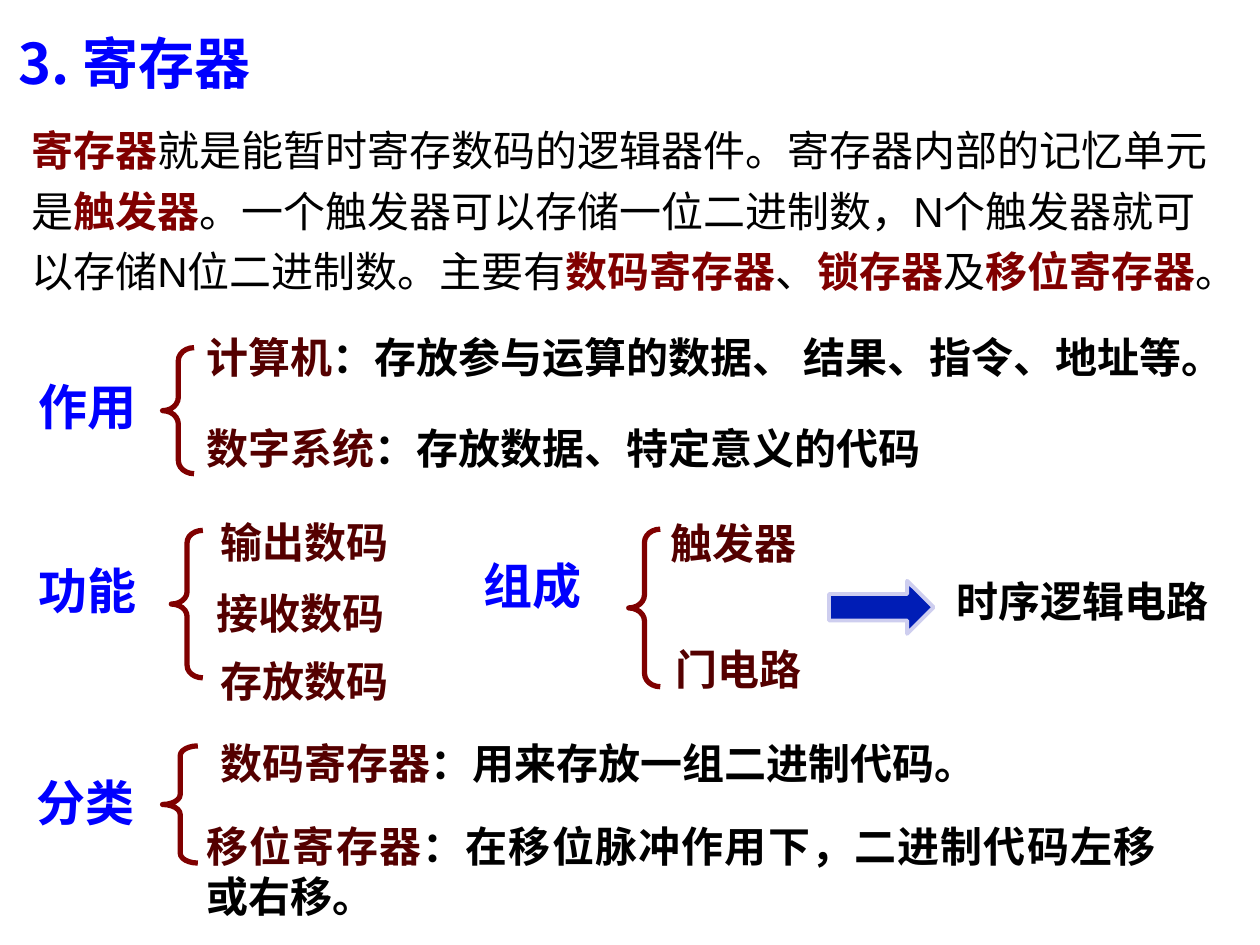
from typing import NamedTuple

from lxml import etree
from pptx import Presentation
from pptx.dml.color import RGBColor
from pptx.enum.shapes import MSO_SHAPE
from pptx.enum.text import PP_ALIGN
from pptx.oxml.ns import qn
from pptx.util import Inches, Pt

BRACE = MSO_SHAPE.LEFT_BRACE
ARROW = MSO_SHAPE.RIGHT_ARROW
LEFT = PP_ALIGN.LEFT
JUSTIFY = PP_ALIGN.JUSTIFY

SANS = "Noto Sans CJK SC"
COLORS = {
    "heading": "0000FF",
    "key": "800000",
    "term": "540000",
    "body": "000000",
    "arrow": "001DB6",
    "arrow_edge": "CECEEF",
}


class Span(NamedTuple):
    text: str
    color: str
    bold: bool = True


class Label(NamedTuple):
    x: float
    y: float
    w: float
    h: float
    spans: list[Span]
    size: int = 24
    align: PP_ALIGN = LEFT
    font: str = SANS
    spacing: float = 1.0


class Brace(NamedTuple):
    x: float
    y: float
    w: float
    h: float
    curve: float


def rgb(name: str) -> RGBColor:
    return RGBColor.from_string(COLORS[name])


def heading(x: float, y: float, w: float, h: float, text: str) -> Label:
    return Label(x, y, w, h, [Span(text, "heading")], size=28)


def item(x: float, y: float, w: float, h: float, term: str,
         detail: str = "", align: PP_ALIGN = LEFT) -> Label:
    spans = [Span(term, "term")]
    if detail:
        spans.append(Span(detail, "body"))
    return Label(x, y, w, h, spans, align=align)


def add_label(s, label: Label) -> None:
    box = s.shapes.add_textbox(Inches(label.x), Inches(label.y),
                               Inches(label.w), Inches(label.h))
    tf = box.text_frame
    tf.word_wrap = True
    p = tf.paragraphs[0]
    p.alignment = label.align
    p.line_spacing = label.spacing
    p.font.size = Pt(label.size)
    p.font.name = label.font
    # Chinese characters take the East Asian typeface
    latin = p._p.find(".//" + qn("a:latin"))
    latin.addnext(etree.Element(qn("a:ea"), typeface=SANS))
    for span in label.spans:
        r = p.add_run()
        r.text = span.text
        r.font.bold = span.bold
        r.font.color.rgb = rgb(span.color)


def add_brace(s, brace: Brace) -> None:
    sp = s.shapes.add_shape(BRACE, Inches(brace.x), Inches(brace.y),
                            Inches(brace.w), Inches(brace.h))
    sp.shadow.inherit = False
    sp.adjustments[0] = brace.curve
    sp.fill.background()
    sp.line.color.rgb = rgb("key")
    sp.line.width = Pt(3)


def add_arrow(s, x: float, y: float, w: float, h: float) -> None:
    sp = s.shapes.add_shape(ARROW, Inches(x), Inches(y), Inches(w), Inches(h))
    sp.shadow.inherit = False
    sp.fill.solid()
    sp.fill.fore_color.rgb = rgb("arrow")
    sp.line.color.rgb = rgb("arrow_edge")
    sp.line.width = Pt(2.25)


INTRO = [
    Span("寄存器", "key"),
    Span("就是能暂时寄存数码的逻辑器件。寄存器内部的记忆单元是", "body", False),
    Span("触发器", "key"),
    Span("。一个触发器可以存储一位二进制数，N个触发器就可以存储N位二进制数。主要有",
         "body", False),
    Span("数码寄存器", "key"),
    Span("、", "body", False),
    Span("锁存器", "key"),
    Span("及", "body", False),
    Span("移位寄存器", "key"),
    Span("。", "body", False),
]

LABELS = [
    # Title and introduction
    Label(0.05, 0.07, 6, 0.69, [Span("3. 寄存器", "heading")], size=32, spacing=1.2),
    Label(0.15, 0.86, 9.55, 1.62, INTRO, font="Arial", spacing=1.2),
    # Purpose
    heading(0.21, 2.94, 0.99, 0.57, "作用"),
    item(1.54, 2.58, 8.06, 0.51, "计算机", "：存放参与运算的数据、 结果、指令、地址等。"),
    item(1.54, 3.3, 5.95, 0.51, "数字系统", "：存放数据、特定意义的代码"),
    # Functions
    heading(0.21, 4.4, 1.42, 0.92, "功能"),
    item(1.65, 4.05, 2.33, 0.51, "输出数码"),
    item(1.62, 4.61, 2.33, 0.51, "接收数码"),
    item(1.65, 5.15, 2.33, 0.51, "存放数码"),
    # Composition
    heading(3.74, 4.36, 1.5, 1, "组成"),
    item(5.22, 4.06, 2.67, 0.51, "触发器"),
    item(5.26, 5.06, 2.17, 0.51, "门电路"),
    Label(7.49, 4.52, 2.31, 0.67, [Span("时序逻辑电路", "body")], align=JUSTIFY),
    # Classification
    heading(0.19, 6.08, 1.43, 0.83, "分类"),
    item(1.65, 5.8, 7.93, 0.51, "数码寄存器", "：用来存放一组二进制代码。"),
    item(1.54, 6.46, 7.73, 0.91, "移位寄存器",
         "：在移位脉冲作用下，二进制代码左移或右移。", JUSTIFY),
]

BRACES = [
    Brace(1.29, 2.76, 0.25, 1, 0.42),
    Brace(1.36, 4.21, 0.25, 1.17, 0.39),
    Brace(4.99, 4.2, 0.25, 1.25, 0.42),
    Brace(1.29, 5.92, 0.28, 0.93, 0.28),
]


def main() -> None:
    prs = Presentation()
    prs.slide_width = Inches(10)
    prs.slide_height = Inches(7.5)
    s = prs.slides.add_slide(prs.slide_layouts[6])
    for brace in BRACES:
        add_brace(s, brace)
    add_arrow(s, 6.58, 4.61, 0.83, 0.42)
    for label in LABELS:
        add_label(s, label)
    prs.save("out.pptx")


if __name__ == "__main__":
    main()
